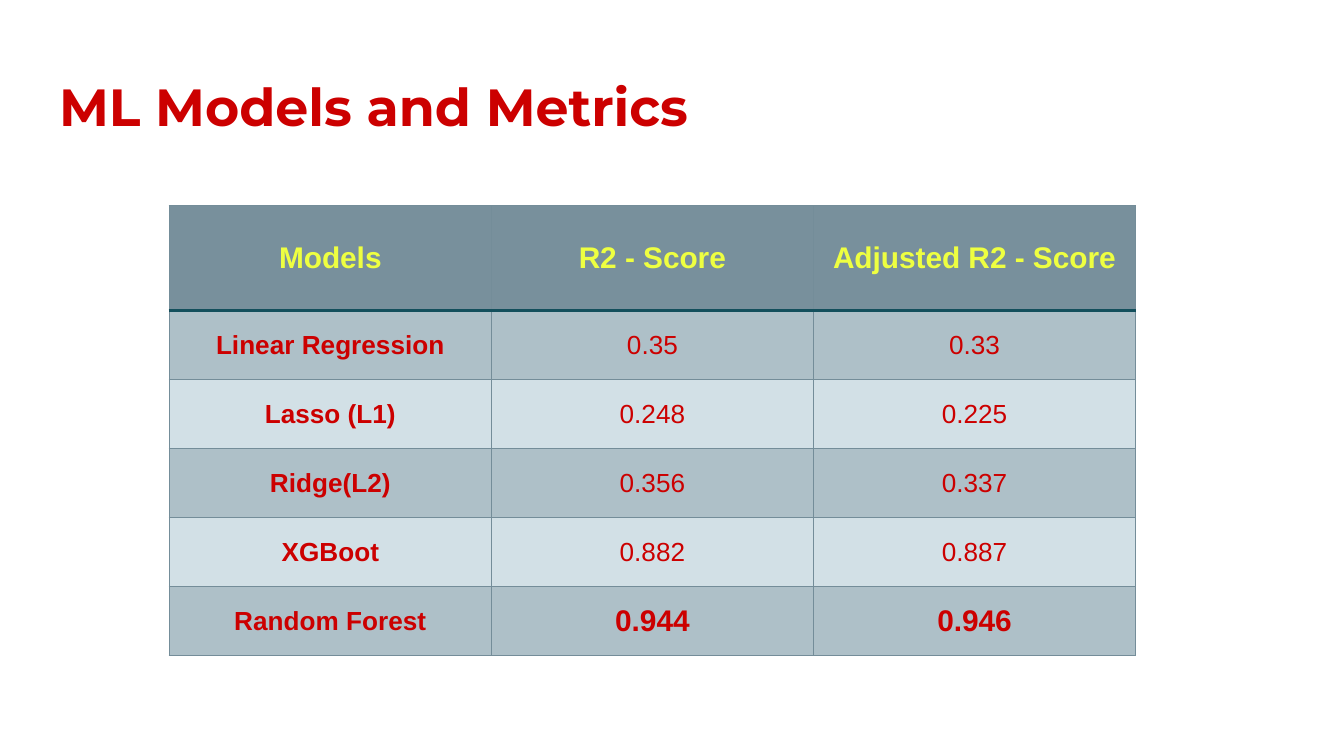
from lxml.etree import SubElement
from pptx import Presentation
from pptx.dml.color import RGBColor
from pptx.enum.text import MSO_ANCHOR as Anchor, MSO_AUTO_SIZE as AutoSize, PP_ALIGN as Align
from pptx.oxml.ns import qn
from pptx.util import Inches, Pt

COLORS = {
    "red": "CC0000",
    "lime": "EEFF41",
    "header": "78909C",
    "dark_band": "AEC0C8",
    "light_band": "D2E0E6",
    "grid": "748D99",
    "rule": "134F5C",
}

SCORES = [
    ("Models", "R2 - Score", "Adjusted R2 - Score"),
    ("Linear Regression", "0.35", "0.33"),
    ("Lasso (L1)", "0.248", "0.225"),
    ("Ridge(L2)", "0.356", "0.337"),
    ("XGBoot", "0.882", "0.887"),
    ("Random Forest", "0.944", "0.946"),
]


def write(frame, text, size=14, color="red", font="Arial", bold=False, align=Align.CENTER):
    paragraph = frame.paragraphs[0]
    paragraph.alignment = align
    run = paragraph.add_run()
    run.text = text
    run.font.name = font
    run.font.size = Pt(size)
    run.font.bold = bold
    run.font.color.rgb = RGBColor.from_string(COLORS[color])


def draw_border(cell, side, color, width):
    line = SubElement(cell._tc.get_or_add_tcPr(), qn(f"a:ln{side}"), w=str(Pt(width)))
    fill = SubElement(line, qn("a:solidFill"))
    SubElement(fill, qn("a:srgbClr"), val=COLORS[color])


class ScoreSlide:
    def __init__(self, deck):
        self.slide = deck.slides.add_slide(deck.slide_layouts[5])

    def title(self, text, left, top, width, height):
        heading = self.slide.shapes.title
        heading.left, heading.top = Inches(left), Inches(top)
        heading.width, heading.height = Inches(width), Inches(height)
        frame = heading.text_frame
        frame.word_wrap = True
        frame.auto_size = AutoSize.NONE
        frame.vertical_anchor = Anchor.TOP
        frame.margin_left = frame.margin_right = Inches(0.1)
        frame.margin_top = frame.margin_bottom = Inches(0.1)
        write(frame, text, size=28, font="Montserrat", bold=True, align=Align.LEFT)

    def table(self, rows, left, top, width, height, header_height):
        columns = len(rows[0])
        row_height = (height - header_height) / (len(rows) - 1)
        scores = self.slide.shapes.add_table(
            len(rows), columns, Inches(left), Inches(top),
            Inches(width), Inches(height)).table
        for r, values in enumerate(rows):
            scores.rows[r].height = Inches(row_height if r else header_height)
            for c, value in enumerate(values):
                self.cell(scores.cell(r, c), value, r, c, r == len(rows) - 1)

    def cell(self, cell, value, row, column, is_best):
        header = row == 0
        cell.vertical_anchor = Anchor.MIDDLE
        for side in "LRTB":
            ruled = (row, side) in [(0, "B"), (1, "T")]
            draw_border(cell, side, "rule" if ruled else "grid", 2 if ruled else 0.75)
        band = "header" if header else "dark_band" if row % 2 else "light_band"
        cell.fill.solid()
        cell.fill.fore_color.rgb = RGBColor.from_string(COLORS[band])
        write(cell.text_frame, value,
              size=16 if header or (is_best and column) else 14,
              color="lime" if header else "red",
              bold=header or column == 0 or is_best)


deck = Presentation()
deck.slide_width, deck.slide_height = Inches(10), Inches(10 * 9 / 16)
metrics = ScoreSlide(deck)
metrics.title("ML Models and Metrics", 0.34, 0.45, 9.32, 0.63)
metrics.table(SCORES, 1.26, 1.53, 7.19, 3.35, header_height=0.78)
deck.save("out.pptx")
